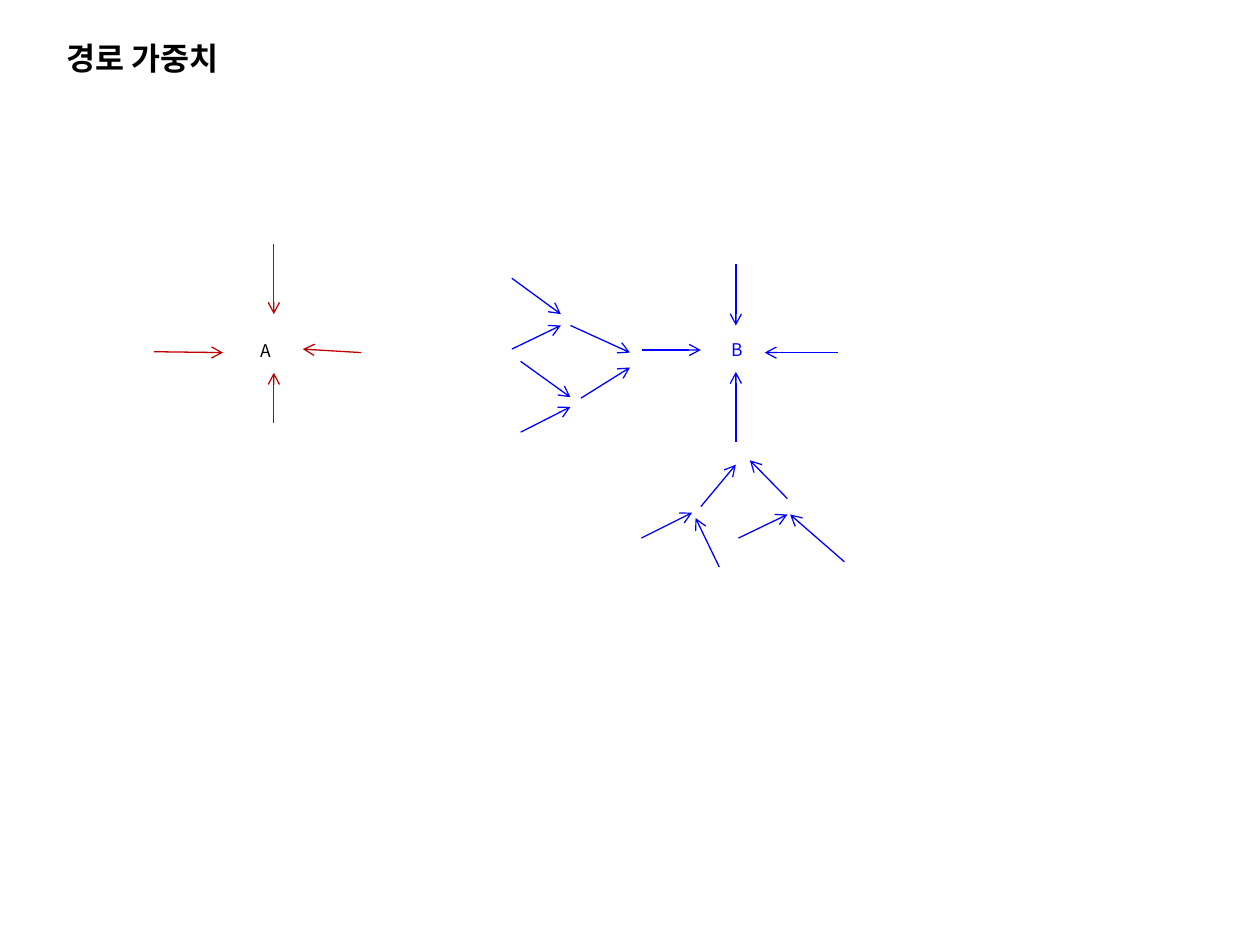
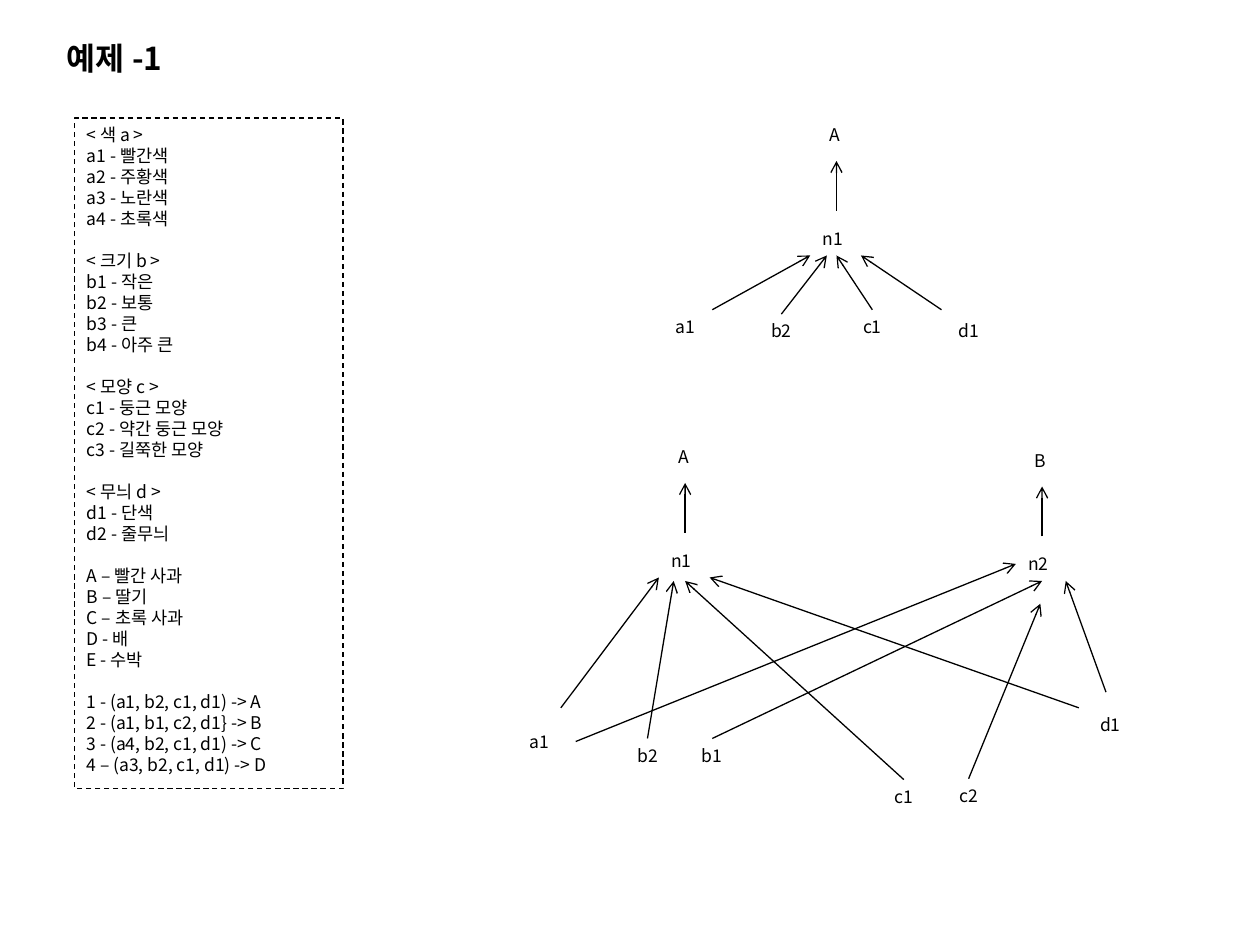
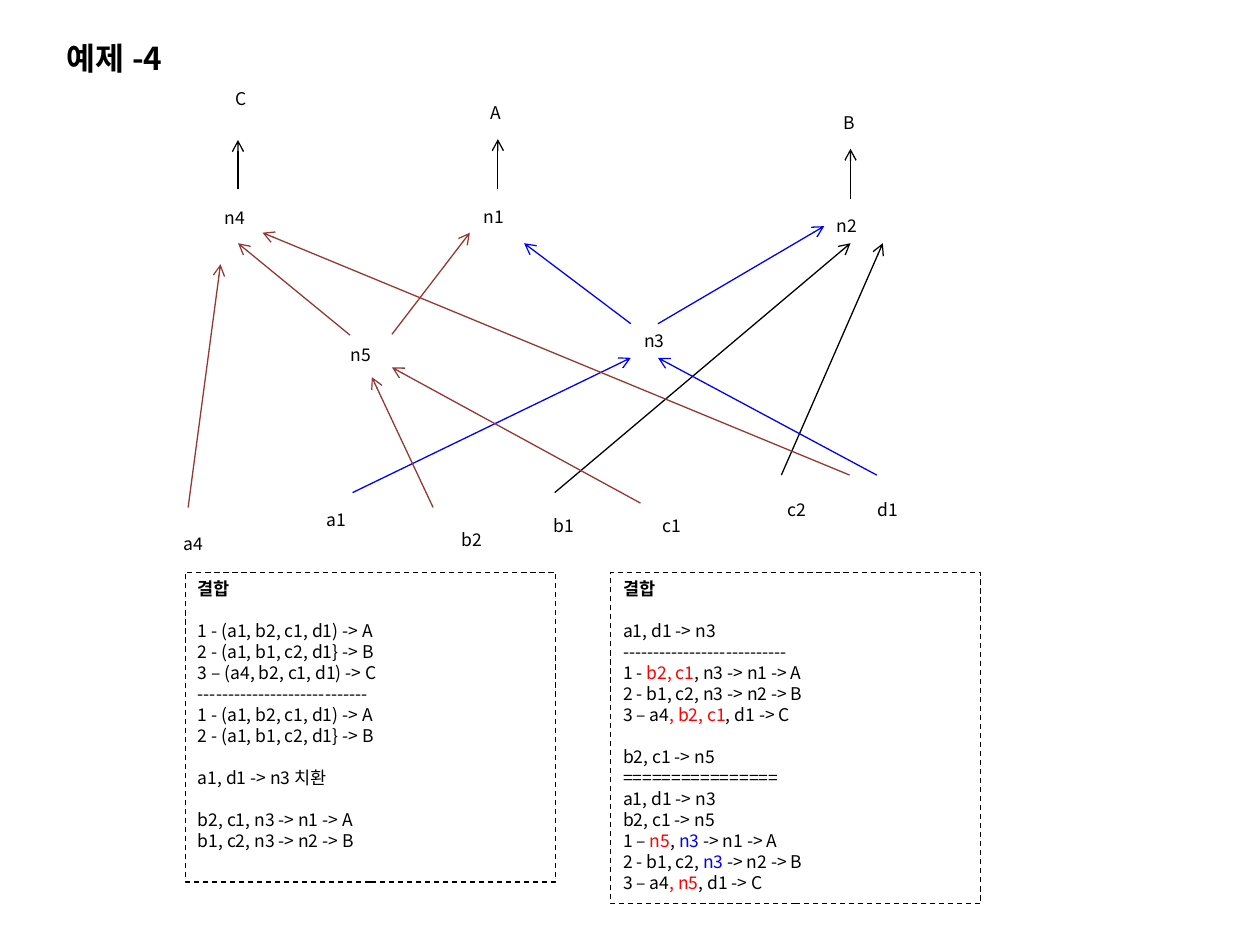
from lxml.etree import SubElement
from pptx import Presentation
from pptx.dml.color import RGBColor
from pptx.enum.dml import MSO_LINE
from pptx.enum.shapes import MSO_CONNECTOR, MSO_SHAPE
from pptx.enum.text import MSO_ANCHOR, MSO_AUTO_SIZE, PP_ALIGN
from pptx.oxml.ns import qn
from pptx.util import Pt

FONT = "Noto Sans CJK KR"
BLACK, BLUE, RED = "000000", "0000FF", "FF0000"
DARK_RED, BROWN = "C00000", "953735"
LINE_WIDTH = 0.75
LABEL_WIDTH, NODE_WIDTH, LABEL_HEIGHT = 42, 30, 19.5
JOIN_DISTANCE = Pt(1.5)

FEATURES = [
    ["< 색 a >", "a1 - 빨간색", "a2 - 주황색", "a3 - 노란색", "a4 - 초록색"],
    ["< 크기 b >", "b1 - 작은", "b2 - 보통", "b3 - 큰", "b4 - 아주 큰"],
    ["< 모양 c >", "c1 - 둥근 모양", "c2 - 약간 둥근 모양", "c3 - 길쭉한 모양"],
    ["< 무늬 d >", "d1 - 단색", "d2 - 줄무늬"],
    ["A – 빨간 사과", "B – 딸기", "C – 초록 사과", "D - 배", "E - 수박"],
    ["1 - (a1, b2, c1, d1) -> A", "2 - (a1, b1, c2, d1} -> B",
     "3 - (a4, b2, c1, d1) -> C", "4 – (a3, b2, c1, d1) -> D"],
]
FIRST_MERGE = [
    ["결합"],
    ["1 - (a1, b2, c1, d1) -> A", "2 - (a1, b1, c2, d1} -> B",
     "3 – (a4, b2, c1, d1) -> C", "----------------------------",
     "1 - (a1, b2, c1, d1) -> A", "2 - (a1, b1, c2, d1} -> B"],
    ["a1, d1 -> n3 치환"],
    ["b2, c1, n3 -> n1 -> A", "b1, c2, n3 -> n2 -> B"],
]
SECOND_MERGE = [
    ["결합"],
    ["a1, d1 -> n3", "---------------------------",
     [("1 - ", BLACK), ("b2, c1", RED), (", n3 -> n1 -> A", BLACK)],
     "2 - b1, c2, n3 -> n2 -> B",
     [("3 – a4", BLACK), (", b2, c1", RED), (", d1 -> C", BLACK)]],
    ["b2, c1 -> n5", "================", "a1, d1 -> n3", "b2, c1 -> n5",
     [("1 – ", BLACK), ("n5", RED), (", ", BLACK), ("n3", BLUE), (" -> n1 -> A", BLACK)],
     [("2 - b1, c2, ", BLACK), ("n3", BLUE), (" -> n2 -> B", BLACK)],
     [("3 – a4", BLACK), (", n5", RED), (", d1 -> C", BLACK)]],
]


def rgb(value):
    """Turn a hex string into a colour."""
    return RGBColor.from_string(value)


def write_text(frame, blocks, size=10, colour=BLACK, align=PP_ALIGN.LEFT, bold_first=False):
    """Write blocks of lines, one empty line height apart, into a text frame."""
    frame.word_wrap = True
    frame.auto_size = MSO_AUTO_SIZE.NONE
    frame.vertical_anchor = MSO_ANCHOR.TOP
    frame.margin_left = frame.margin_right = Pt(7.2)
    frame.margin_top = frame.margin_bottom = Pt(3.6)
    line_height = Pt(size * 1.2)
    lines = [(block_number, line_number, line)
             for block_number, block in enumerate(blocks)
             for line_number, line in enumerate(block)]
    for block_number, line_number, line in lines:
        first = block_number == line_number == 0
        paragraph = frame.paragraphs[0] if first else frame.add_paragraph()
        paragraph.alignment = align
        paragraph.line_spacing = line_height
        paragraph.space_before = line_height if block_number and not line_number else Pt(0)
        paragraph.space_after = Pt(0)
        for text, run_colour in [(line, colour)] if isinstance(line, str) else line:
            run = paragraph.add_run()
            run.text = text
            run.font.size = Pt(size)
            run.font.bold = bold_first and first
            run.font.name = FONT
            run.font.color.rgb = rgb(run_colour)
            SubElement(run.font._element, qn("a:ea"), typeface=FONT)


def add_titled_slide(presentation, title):
    """Add a title-only slide with its small bold heading."""
    slide = presentation.slides.add_slide(presentation.slide_layouts[5])
    shape = slide.shapes.title
    shape.left, shape.top, shape.width, shape.height = Pt(31), Pt(18.5), Pt(221), Pt(29)
    write_text(shape.text_frame, [[title]], size=18, bold_first=True)
    return slide


def add_label(slide, text, left, top, width=LABEL_WIDTH, align=PP_ALIGN.CENTER, colour=BLACK):
    """Add a short diagram label."""
    shape = slide.shapes.add_textbox(Pt(left), Pt(top), Pt(width), Pt(LABEL_HEIGHT))
    write_text(shape.text_frame, [[text]], align=align, colour=colour)


def add_node(slide, text, left, top, colour=BLACK):
    """Add a narrow left-aligned label for a network node."""
    add_label(slide, text, left, top, NODE_WIDTH, PP_ALIGN.LEFT, colour)


def find_side(slide, x, y):
    """Find the label and side whose middle lies at a point."""
    for shape in slide.shapes:
        if shape.has_text_frame and not shape.is_placeholder:
            middle_x, middle_y = shape.left + shape.width / 2, shape.top + shape.height / 2
            sides = [(middle_x, shape.top), (shape.left, middle_y),
                     (middle_x, shape.top + shape.height), (shape.left + shape.width, middle_y)]
            for site, (side_x, side_y) in enumerate(sides):
                if max(abs(side_x - x), abs(side_y - y)) <= JOIN_DISTANCE:
                    return shape, site
    return None


def add_arrow(slide, points, colour=BLACK):
    """Add an arrow, joined to any label side that it touches."""
    start_x, start_y, end_x, end_y = map(Pt, points)
    arrow = slide.shapes.add_connector(MSO_CONNECTOR.STRAIGHT, start_x, start_y, end_x, end_y)
    arrow.line.color.rgb = rgb(colour)
    arrow.line.width = Pt(LINE_WIDTH)
    SubElement(arrow.line._get_or_add_ln(), qn("a:tailEnd"), type="arrow")
    SubElement(arrow._element.spPr, qn("a:effectLst"))
    start, end = find_side(slide, start_x, start_y), find_side(slide, end_x, end_y)
    if start:
        arrow.begin_connect(*start)
    if end:
        arrow.end_connect(*end)


def add_arrows(slide, arrows, colour=BLACK):
    """Add several arrows of one colour."""
    for points in arrows:
        add_arrow(slide, points, colour)


def add_output(slide, node, output, left, top):
    """Add a node with an arrow up to its output."""
    add_node(slide, node, left, top)
    add_label(slide, output, left - 7, top - 59)
    add_arrow(slide, (left + 15, top - 6, left + 15, top - 34.5))


def add_note(slide, blocks, left, top, width, height, bold_first=False):
    """Add a dashed box of lines."""
    shape = slide.shapes.add_shape(MSO_SHAPE.RECTANGLE, Pt(left), Pt(top), Pt(width), Pt(height))
    shape.shadow.inherit = False
    shape.fill.background()
    shape.line.color.rgb = rgb(BLACK)
    shape.line.width = Pt(LINE_WIDTH)
    shape.line.dash_style = MSO_LINE.DASH
    write_text(shape.text_frame, blocks, bold_first=bold_first)


def build_path_weights(presentation):
    """Build the slide on path weights."""
    slide = add_titled_slide(presentation, "경로 가중치")
    add_label(slide, "A", 142, 191, align=PP_ALIGN.LEFT)
    add_node(slide, "B", 411, 190, BLUE)
    add_arrows(slide, [
        (88, 201, 127.5, 201.5), (206.5, 201.5, 173, 199.5),
        (156.5, 242, 156.5, 213), (156.5, 139.5, 156.5, 179.5),
    ], DARK_RED)
    add_arrows(slide, [
        (367, 200, 400.5, 200), (420.5, 252.5, 420.5, 212.5),
        (479, 201.5, 437, 201.5), (420.5, 151, 420.5, 186),
        (326, 186, 360, 201.5), (332, 227.5, 360, 210),
        (292.5, 159, 320.5, 179.5), (292.5, 199.5, 320.5, 186),
        (297.5, 206.5, 326, 227), (297.5, 247, 326, 232.5),
        (400.5, 289.5, 420.5, 265.5), (450, 285, 428.5, 263),
        (411, 324, 397.5, 296), (366.5, 307.5, 395.5, 293),
        (482.5, 321, 451.5, 294), (422, 307.5, 450, 294),
    ], BLUE)


def build_first_example(presentation):
    """Build the example with the feature list and two networks."""
    slide = add_titled_slide(presentation, "예제 -1")
    add_note(slide, FEATURES, 42.5, 67.5, 153.5, 383)
    for text, left, top in [
        ("a1", 370.5, 177), ("b2", 425.5, 179.5), ("c1", 477.5, 177), ("d1", 532.5, 179.5),
        ("a1", 287, 414), ("b2", 349, 422), ("b1", 386, 422),
        ("c1", 495.5, 445.5), ("c2", 532.5, 445), ("d1", 613.5, 404.5),
    ]:
        add_label(slide, text, left, top)
    add_output(slide, "n1", "A", 463, 126.5)
    add_output(slide, "n1", "A", 376.5, 310.5)
    add_output(slide, "n2", "B", 580.5, 312.5)
    add_arrows(slide, [
        (407, 177, 463, 146), (446.5, 179.5, 472.5, 146),
        (499, 177, 478, 146), (538, 177, 492, 146),
        (320.5, 404.5, 376.5, 330), (370, 422, 385, 332),
        (517, 445.5, 391.5, 332), (616.5, 404.5, 405.5, 330),
        (328.5, 424, 580.5, 322.5), (407, 422, 595.5, 332),
        (553.5, 445, 594.5, 345), (632, 395.5, 609, 332),
    ])


def build_fourth_example(presentation):
    """Build the example with merged nodes."""
    slide = add_titled_slide(presentation, "예제 -4")
    for blocks, left, height in [(FIRST_MERGE, 106, 177), (SECOND_MERGE, 349, 189.5)]:
        add_note(slide, blocks, left, 327, 211.5, height, bold_first=True)
    for text, left, top in [
        ("C", 117, 47), ("a4", 89.5, 301), ("a1", 171, 287.5), ("b2", 248.5, 299),
        ("b1", 301, 291), ("c1", 363, 291), ("c2", 434.5, 281.5), ("d1", 486.5, 281.5),
    ]:
        add_label(slide, text, left, top)
    for text, left, top in [("n3", 361, 185), ("n4", 121.5, 115), ("n5", 193.5, 193)]:
        add_node(slide, text, left, top)
    add_output(slide, "n1", "A", 269.5, 114)
    add_output(slide, "n2", "B", 471, 119.5)
    add_arrows(slide, [
        (136, 108, 136, 80), (317, 281.5, 486, 139), (446.5, 271.5, 504.5, 139),
    ])
    add_arrows(slide, [
        (201.5, 281.5, 360.5, 204.5), (501, 271.5, 376, 204.5),
        (376, 185, 470, 128), (360.5, 185, 299.5, 139),
    ], BLUE)
    add_arrows(slide, [
        (107.5, 290, 126, 151), (247.5, 290, 212.5, 215.5), (366, 287.5, 224, 210),
        (485.5, 271.5, 150, 133), (200, 191.5, 136, 139), (224, 191, 268.5, 133),
    ], BROWN)


def main():
    """Build and save the presentation."""
    presentation = Presentation()
    presentation.slide_width, presentation.slide_height = Pt(720), Pt(540)
    build_path_weights(presentation)
    build_first_example(presentation)
    build_fourth_example(presentation)
    presentation.save("out.pptx")


if __name__ == "__main__":
    main()
